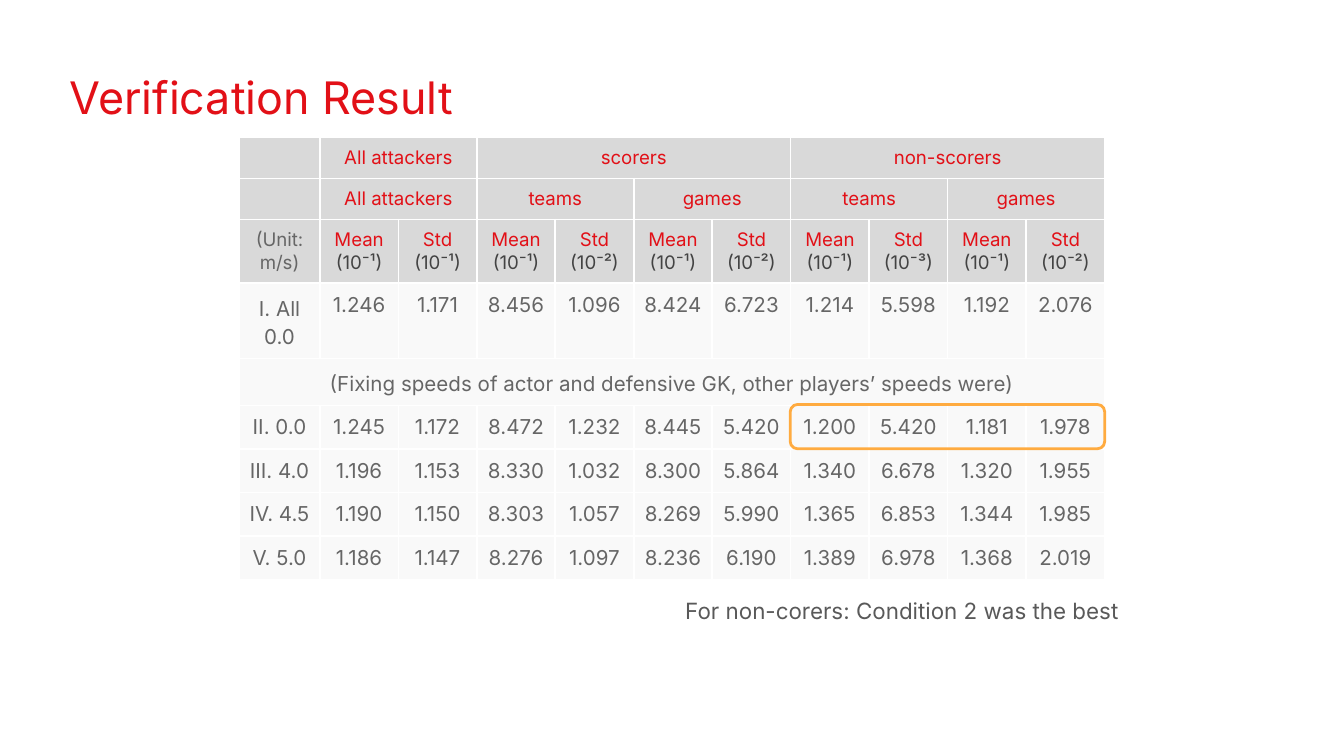
from lxml import etree
from pptx import Presentation
from pptx.dml.color import RGBColor
from pptx.enum.shapes import MSO_SHAPE
from pptx.enum.text import PP_ALIGN
from pptx.oxml.ns import qn
from pptx.util import Inches, Pt

RED, DARK, GRAY, NOTE = "E21017", "434343", "666666", "595959"
HEAD_FILL, BODY_FILL, WHITE, ORANGE = "D9D9D9", "F9F9F9", "FFFFFF", "FFAB40"

LABEL_WIDTH = 0.6
ROW_HEIGHTS = [0.3, 0.3, 0.47, 0.56, 0.35] + [0.32] * 4
GROUPS = [
    [(1, 2, "All attackers"), (3, 6, "scorers"), (7, 10, "non-scorers")],
    [(1, 2, "All attackers"), (3, 4, "teams"), (5, 6, "games"),
     (7, 8, "teams"), (9, 10, "games")],
]
UNITS = "⁻¹ ⁻¹ ⁻¹ ⁻² ⁻¹ ⁻² ⁻¹ ⁻³ ⁻¹ ⁻²".split()
NOTE_ROW = 4
FIXED_SPEEDS = "(Fixing speeds of actor and defensive GK, other players’ speeds were)"
RESULTS = {
    3: ("Ⅰ. All 0.0", "1.246 1.171 8.456 1.096 8.424 6.723 1.214 5.598 1.192 2.076"),
    5: ("Ⅱ. 0.0", "1.245 1.172 8.472 1.232 8.445 5.420 1.200 5.420 1.181 1.978"),
    6: ("Ⅲ. 4.0", "1.196 1.153 8.330 1.032 8.300 5.864 1.340 6.678 1.320 1.955"),
    7: ("Ⅳ. 4.5", "1.190 1.150 8.303 1.057 8.269 5.990 1.365 6.853 1.344 1.985"),
    8: ("Ⅴ. 5.0", "1.186 1.147 8.276 1.097 8.236 6.190 1.389 6.978 1.368 2.019"),
}


def rgb(value):
    return RGBColor.from_string(value)


def write(p, text, size, color, spacing=None):
    p.text = text
    p.font.name = "Inter"
    p.font.size = Pt(size)
    p.font.color.rgb = rgb(color)
    if spacing:
        p.line_spacing = spacing


def add_label(s, box, text, size, color, spacing=None):
    tf = s.shapes.add_textbox(*map(Inches, box)).text_frame
    tf.word_wrap = True
    tf.margin_left = tf.margin_right = tf.margin_top = tf.margin_bottom = Inches(0.1)
    write(tf.paragraphs[0], text, size, color, spacing)


def style_cell(cell, fill):
    cell.margin_left = cell.margin_right = Inches(0.07)
    cell.margin_top = cell.margin_bottom = Inches(0.07)
    tcPr = cell._tc.get_or_add_tcPr()
    for side in ("a:lnL", "a:lnR", "a:lnT", "a:lnB"):
        ln = etree.SubElement(tcPr, qn(side), w=str(Pt(1)))
        solid = etree.SubElement(ln, qn("a:solidFill"))
        etree.SubElement(solid, qn("a:srgbClr"), val=WHITE)
    cell.fill.solid()
    cell.fill.fore_color.rgb = rgb(fill)
    end = cell.text_frame.paragraphs[0]._p.get_or_add_endParaRPr()
    end.set("sz", "1000")


def fill_cell(cell, lines, size, spacing=None):
    tf = cell.text_frame
    for i, (text, color) in enumerate(lines):
        p = tf.add_paragraph() if i else tf.paragraphs[0]
        write(p, text, size, color, spacing)
        p.alignment = PP_ALIGN.CENTER


def add_results(s, left, top, width):
    rows, cols = len(ROW_HEIGHTS), len(UNITS) + 1
    box = map(Inches, (left, top, width, sum(ROW_HEIGHTS)))
    table = s.shapes.add_table(rows, cols, *box).table
    table.first_row = table.horz_banding = False
    for c, column in enumerate(table.columns):
        column.width = Inches((width - LABEL_WIDTH) / len(UNITS) if c else LABEL_WIDTH)
    for r, height in enumerate(ROW_HEIGHTS):
        table.rows[r].height = Inches(height)
        for c in range(cols):
            style_cell(table.cell(r, c), HEAD_FILL if r < 3 else BODY_FILL)

    for r, groups in enumerate(GROUPS):
        for first, last, name in groups:
            table.cell(r, first).merge(table.cell(r, last))
            fill_cell(table.cell(r, first), [(name, RED)], 10)
    fill_cell(table.cell(2, 0), [("(Unit: m/s)", GRAY)], 10)
    for c, unit in enumerate(UNITS, 1):
        name = "Mean" if c % 2 else "Std"
        fill_cell(table.cell(2, c), [(name, RED), (f"(10{unit})", DARK)], 10)

    table.cell(NOTE_ROW, 0).merge(table.cell(NOTE_ROW, cols - 1))
    fill_cell(table.cell(NOTE_ROW, 0), [(FIXED_SPEEDS, GRAY)], 11, 1.15)
    for r, (label, values) in RESULTS.items():
        fill_cell(table.cell(r, 0), [(label, GRAY)], 11, 1.15 if r == 3 else None)
        for c, value in enumerate(values.split(), 1):
            fill_cell(table.cell(r, c), [(value, GRAY)], 11)


def add_highlight(s, box):
    sp = s.shapes.add_shape(MSO_SHAPE.ROUNDED_RECTANGLE, *map(Inches, box))
    sp.shadow.inherit = False
    sp.fill.background()
    sp.line.color.rgb = rgb(ORANGE)
    sp.line.width = Pt(1.5)


def main():
    prs = Presentation()
    prs.slide_width = Inches(10)
    prs.slide_height = prs.slide_width * 9 // 16
    s = prs.slides.add_slide(prs.slide_layouts[6])
    add_label(s, (0.42, 0.42, 9.17, 0.61), "Verification Result", 24, RED)
    add_results(s, 1.78, 1.02, 6.44)
    add_highlight(s, (5.88, 3.01, 2.34, 0.33))
    add_label(s, (5, 4.31, 3.48, 0.4),
              "For non-corers: Condition 2 was the best", 12, NOTE, 1.15)
    prs.save("out.pptx")


if __name__ == "__main__":
    main()
